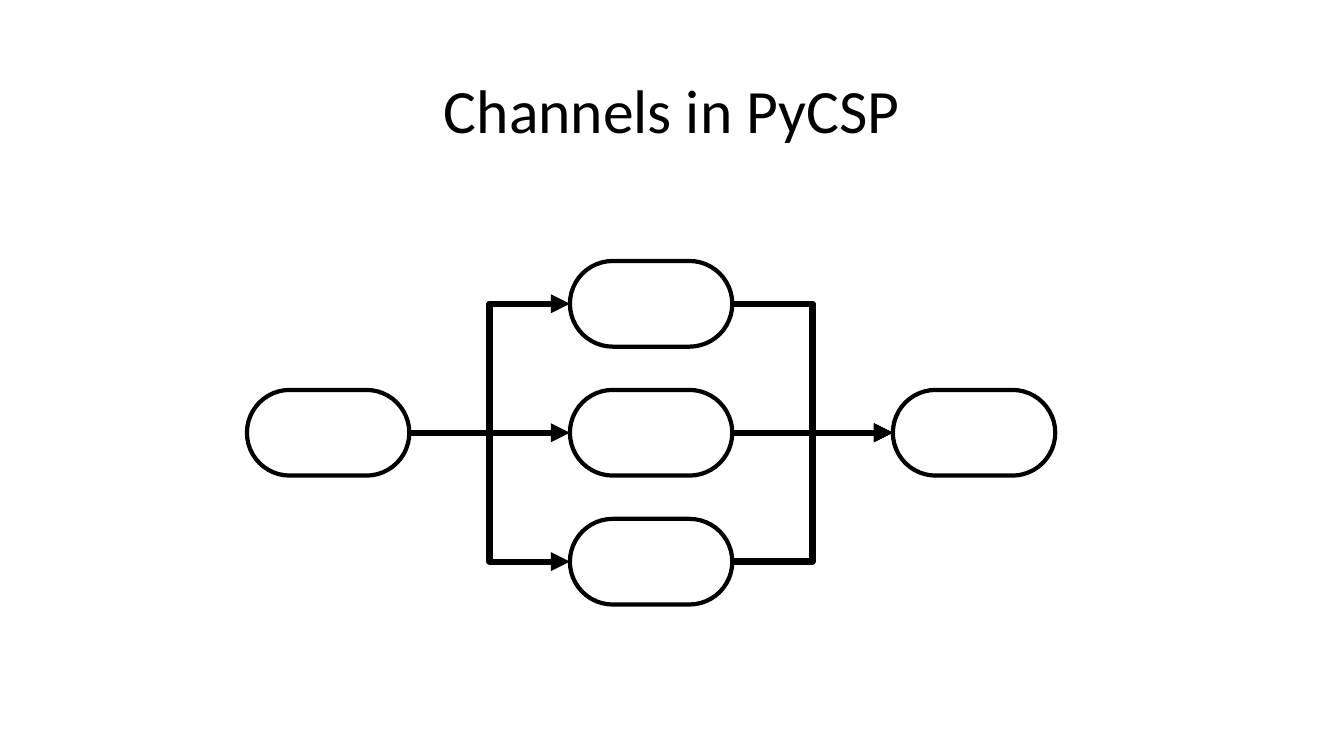
from lxml import etree
from pptx import Presentation
from pptx.dml.color import RGBColor
from pptx.enum.shapes import MSO_CONNECTOR, MSO_SHAPE
from pptx.enum.text import MSO_ANCHOR, PP_ALIGN
from pptx.oxml.ns import qn
from pptx.util import Pt

ELBOW, STRAIGHT = MSO_CONNECTOR.ELBOW, MSO_CONNECTOR.STRAIGHT
ROUNDED = MSO_SHAPE.ROUNDED_RECTANGLE
MIDDLE, CENTER = MSO_ANCHOR.MIDDLE, PP_ALIGN.CENTER

TITLE = "Channels in PyCSP"
PROCESSES = {
    "source": (0, 1),
    "worker top": (1, 0),
    "worker middle": (1, 1),
    "worker bottom": (1, 2),
    "sink": (2, 1),
}
CHANNELS = [
    ("source", "worker bottom"),
    ("source", "worker top"),
    ("source", "worker middle"),
    ("worker middle", "sink"),
    ("worker top", "sink"),
    ("worker bottom", "sink"),
]
COLORS = {"ink": "000000"}
INK = RGBColor.from_string(COLORS["ink"])
FONT = "Calibri"

LEFT, TOP = 176.4, 186.4
BOX_WIDTH, BOX_HEIGHT = 116, 61.2
COLUMN_STEP, ROW_STEP = 230.7, 92.1
LEFT_SITE, RIGHT_SITE = 1, 3


def add_title(slide):
    box = slide.shapes.add_textbox(Pt(66), Pt(28.8), Pt(828), Pt(104.4))
    frame = box.text_frame
    frame.word_wrap = True
    frame.vertical_anchor = MIDDLE
    frame.text = TITLE
    para = frame.paragraphs[0]
    para.alignment = CENTER
    para.line_spacing = 0.9
    font = para.runs[0].font
    font.name, font.size = FONT, Pt(44)
    font.color.rgb = INK


def add_process(slide, column, row):
    process = slide.shapes.add_shape(
        ROUNDED,
        Pt(LEFT + column * COLUMN_STEP),
        Pt(TOP + row * ROW_STEP),
        Pt(BOX_WIDTH),
        Pt(BOX_HEIGHT),
    )
    process.adjustments[0] = 0.5
    process.shadow.inherit = False
    process.fill.background()
    process.line.color.rgb = INK
    process.line.width = Pt(3)
    return process


def add_channel(slide, sender, receiver):
    kind = STRAIGHT if sender.top == receiver.top else ELBOW
    channel = slide.shapes.add_connector(kind, 0, 0, 0, 0)
    channel.begin_connect(sender, RIGHT_SITE)
    channel.end_connect(receiver, LEFT_SITE)
    channel.line.color.rgb = INK
    channel.line.width = Pt(4.5)
    line = channel.line._get_or_add_ln()
    etree.SubElement(line, qn("a:tailEnd"), type="triangle")
    etree.SubElement(channel._element.spPr, qn("a:effectLst"))


def main():
    deck = Presentation()
    deck.slide_width, deck.slide_height = Pt(960), Pt(540)
    slide = deck.slides.add_slide(deck.slide_layouts[6])
    add_title(slide)
    processes = {name: add_process(slide, *cell) for name, cell in PROCESSES.items()}
    for sender, receiver in CHANNELS:
        add_channel(slide, processes[sender], processes[receiver])
    deck.save("out.pptx")


if __name__ == "__main__":
    main()
